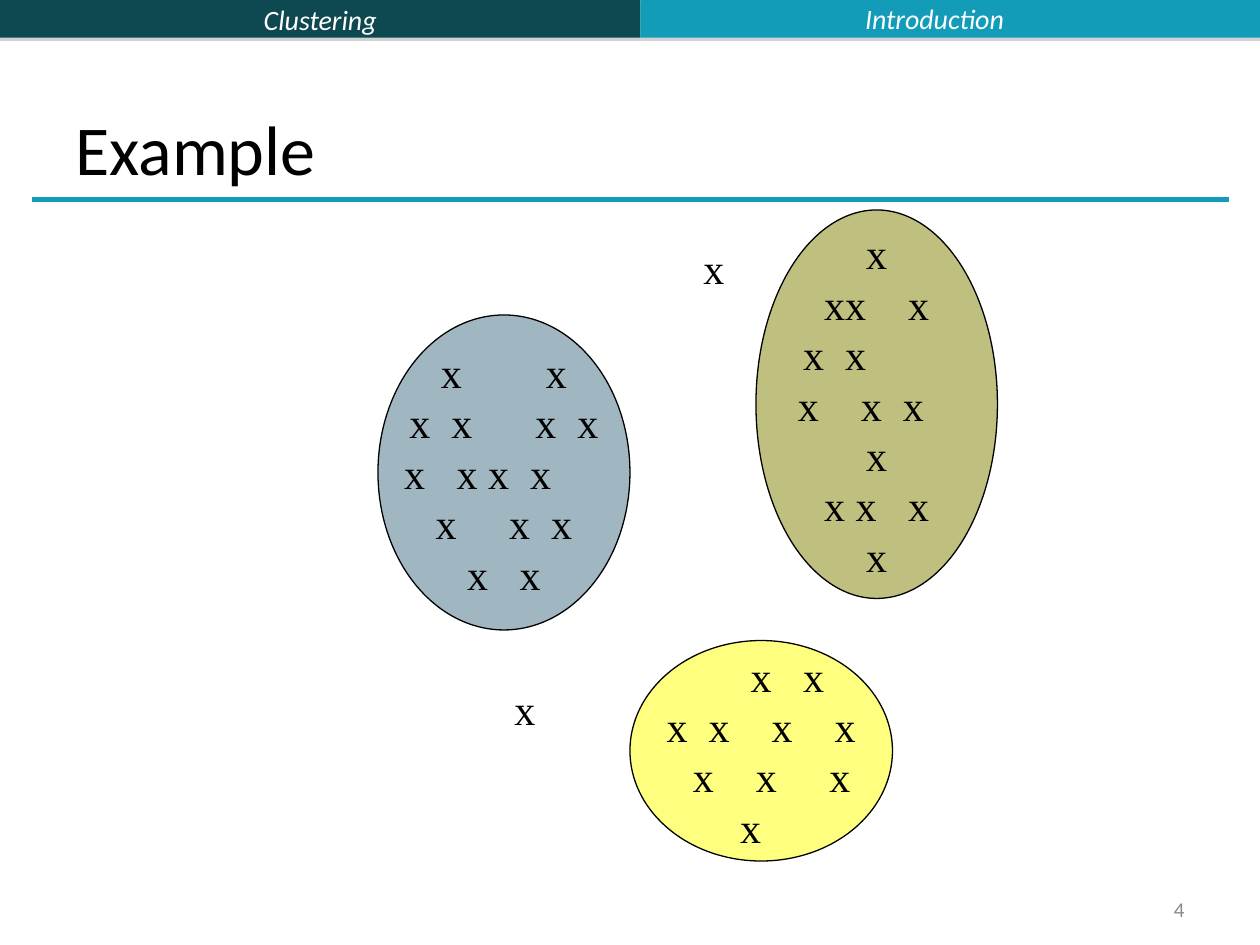
"""Build the clustering example slide on a grid of 120 columns by 90 rows."""
from dataclasses import dataclass
from itertools import groupby

from lxml import etree
from pptx import Presentation
from pptx import util as u
from pptx.dml.color import RGBColor
from pptx.enum import shapes, text
from pptx.oxml.ns import qn

COLUMNS, ROWS = 120, 90
CELL = u.Inches(10) // COLUMNS
GLYPH_CELLS = 2


@dataclass(frozen=True)
class Theme:
    dark: str = "0E4851"
    accent: str = "139CB7"
    white: str = "FFFFFF"
    header_text: str = "FBFCFF"
    black: str = "000000"
    muted: str = "898989"
    shadow: str = "808080"
    body_font: str = "Calibri"
    point_font: str = "Times New Roman"
    title_size: int = 40
    point_size: int = 24
    header_size: int = 16
    number_size: int = 12


@dataclass(frozen=True)
class Area:
    left: float
    top: float
    width: float
    height: float

    def lengths(self) -> list[int]:
        return [round(value * CELL) for value in (self.left, self.top, self.width, self.height)]


@dataclass(frozen=True)
class Style:
    size: int
    color: str
    font: str = Theme.body_font
    italic: bool = False
    align: text.PP_ALIGN = text.PP_ALIGN.LEFT
    anchor: text.MSO_ANCHOR = text.MSO_ANCHOR.MIDDLE


@dataclass(frozen=True)
class Cluster:
    """Rows are written as x marks with digits for the gaps in cells."""
    area: Area
    color: str
    rows: tuple[str, ...]


THEME = Theme()
POINTS = Style(THEME.point_size, THEME.black, THEME.point_font)
LONE_POINT = Style(THEME.point_size, THEME.black, THEME.point_font, anchor=text.MSO_ANCHOR.TOP)
HEADER = Style(THEME.header_size, THEME.white, italic=True, align=text.PP_ALIGN.CENTER)
HEADER_RIGHT = Style(THEME.header_size, THEME.header_text, italic=True, align=text.PP_ALIGN.CENTER)
TITLE = Style(THEME.title_size, THEME.black, anchor=text.MSO_ANCHOR.BOTTOM)
NUMBER = Style(THEME.number_size, THEME.muted, align=text.PP_ALIGN.RIGHT)

CLUSTERS = (
    Cluster(Area(36, 30, 24, 30), "437085",
            ("x8x", "x2x6x2x", "x3x1x2x5", "x5x2x", "x3x")),
    Cluster(Area(72, 20, 23, 37), "808000",
            ("x", "xx4x", "x2x8", "x4x2x3", "x", "x1x3x", "x")),
    Cluster(Area(60, 61, 25, 21), "FFFF00",
            ("5x3x", "x2x4x4x", "2x4x5x", "x2")),
)
LONE_POINTS = (Area(65.8, 22.5, 4.3, 6), Area(47.8, 64.5, 4.3, 6))


def write(shape, content: str, style: Style, wrap: bool = True) -> None:
    """Put styled text into a shape."""
    frame = shape.text_frame
    frame.text = content
    frame.word_wrap = wrap
    frame.vertical_anchor = style.anchor
    for paragraph in frame.paragraphs:
        paragraph.alignment = style.align
        for run in paragraph.runs:
            run.font.size = u.Pt(style.size)
            run.font.name = style.font
            run.font.italic = style.italic
            run.font.color.rgb = RGBColor.from_string(style.color)


def add_text(slide, area: Area, content: str, style: Style, wrap: bool = True):
    """Add a text box and return it."""
    box = slide.shapes.add_textbox(*area.lengths())
    write(box, content, style, wrap)
    return box


def add_filled(slide, kind: shapes.MSO_SHAPE, area: Area, color: str):
    """Add a plain filled shape without line or shadow."""
    shape = slide.shapes.add_shape(kind, *area.lengths())
    shape.shadow.inherit = False
    shape.fill.solid()
    shape.fill.fore_color.rgb = RGBColor.from_string(color)
    shape.line.fill.background()
    return shape


def set_alpha(color_element, percent: int) -> None:
    """Make a colour element partly transparent."""
    etree.SubElement(color_element, qn("a:alpha"), val=str(percent * 1000))


def add_header(slide, area: Area, color: str):
    """Add a header band with a thin shadow below it."""
    band = add_filled(slide, shapes.MSO_SHAPE.RECTANGLE, area, color)
    effects = band._element.spPr.find(qn("a:effectLst"))
    shadow = etree.SubElement(effects, qn("a:outerShdw"), blurRad="0", dist=str(u.Pt(1.8)),
                              dir="5400000", algn="ctr", rotWithShape="0")
    set_alpha(etree.SubElement(shadow, qn("a:srgbClr"), val=THEME.shadow), 35)
    return band


def parse_row(pattern: str, width: float) -> tuple[str, list[float]]:
    """Return the tabbed text of a centred row and its tab stops in cells."""
    total = sum(int(mark) if mark.isdigit() else GLYPH_CELLS for mark in pattern)
    position = (width - total) / 2
    words, stops = [], []
    for is_gap, group in groupby(pattern, str.isdigit):
        token = "".join(group)
        if is_gap:
            position += int(token)
        else:
            words.append("\t" + token)
            stops.append(position)
            position += GLYPH_CELLS * len(token)
    return "".join(words), stops


def add_cluster(slide, cluster: Cluster) -> None:
    """Draw a translucent ellipse and its rows of points."""
    ellipse = add_filled(slide, shapes.MSO_SHAPE.OVAL, cluster.area, cluster.color)
    set_alpha(ellipse._element.spPr.find(qn("a:solidFill"))[0], 50)
    ellipse.line.color.rgb = RGBColor.from_string(THEME.black)
    ellipse.line.width = u.Pt(0.75)

    rows = [parse_row(pattern, cluster.area.width) for pattern in cluster.rows]
    box = add_text(slide, cluster.area, "\n".join(content for content, _ in rows), POINTS)
    frame = box.text_frame
    frame.margin_left = frame.margin_right = 0
    for paragraph, (_, stops) in zip(frame.paragraphs, rows):
        tabs = etree.SubElement(paragraph._p.get_or_add_pPr(), qn("a:tabLst"))
        for stop in stops:
            etree.SubElement(tabs, qn("a:tab"), pos=str(round(stop * CELL)), algn="l")


def add_rule(slide, left: float, right: float, row: float) -> None:
    """Draw the horizontal rule under the title."""
    ends = [round(value * CELL) for value in (left, row, right, row)]
    rule = slide.shapes.add_connector(shapes.MSO_CONNECTOR.STRAIGHT, *ends)
    rule.line.color.rgb = RGBColor.from_string(THEME.accent)
    rule.line.width = u.Pt(3)
    etree.SubElement(rule._element.spPr, qn("a:effectLst"))


def main() -> None:
    """Build and save the slide."""
    presentation = Presentation()
    presentation.slide_width = CELL * COLUMNS
    presentation.slide_height = CELL * ROWS
    slide = presentation.slides.add_slide(presentation.slide_layouts[6])

    write(add_header(slide, Area(0, 0, 61, 3.6), THEME.dark), "Clustering", HEADER)
    add_header(slide, Area(61, 0, 59, 3.6), THEME.accent)
    add_rule(slide, 3, 117, 19)
    add_text(slide, Area(86, 85, 28, 3.2), "4", NUMBER)
    add_text(slide, Area(6, 3.6, 108, 15), "Example", TITLE)
    for cluster in CLUSTERS:
        add_cluster(slide, cluster)
    for area in LONE_POINTS:
        add_text(slide, area, "x", LONE_POINT, wrap=False)
    add_text(slide, Area(58, -0.5, 62, 4.5), "Introduction", HEADER_RIGHT)
    presentation.save("out.pptx")


if __name__ == "__main__":
    main()
